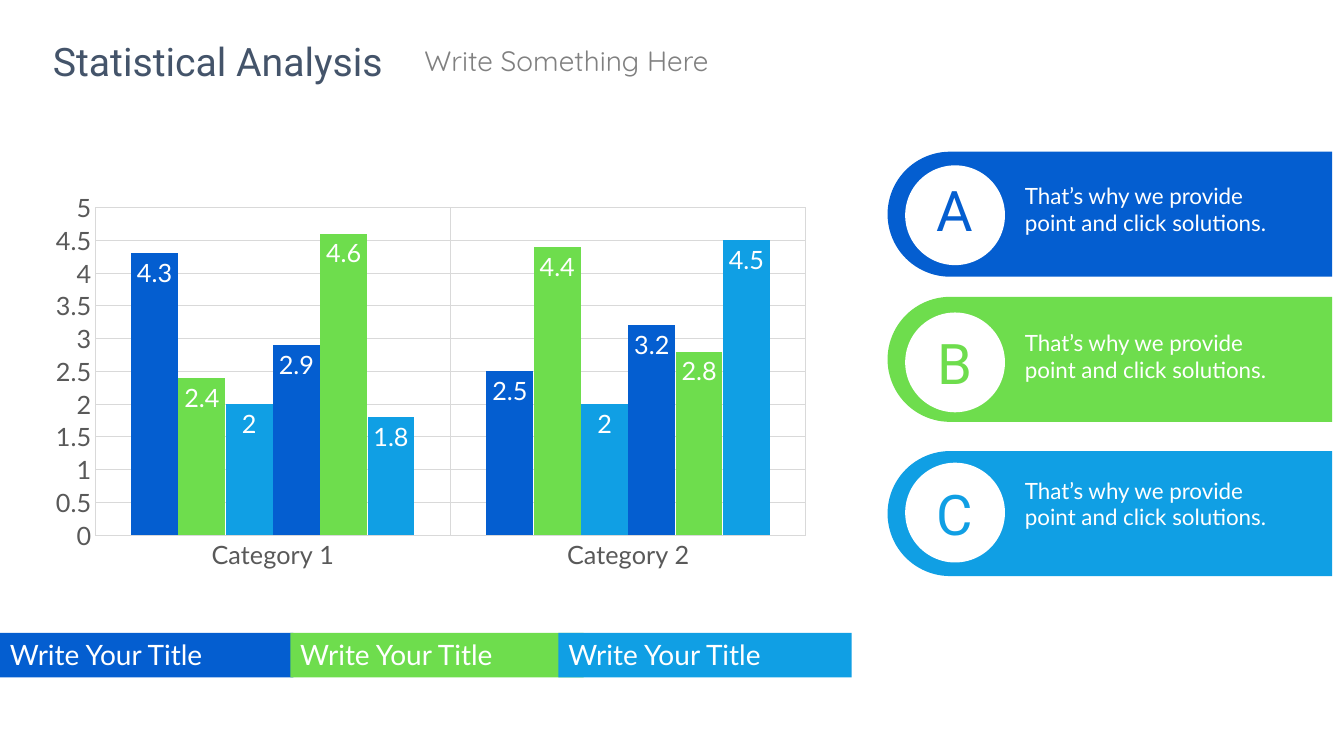
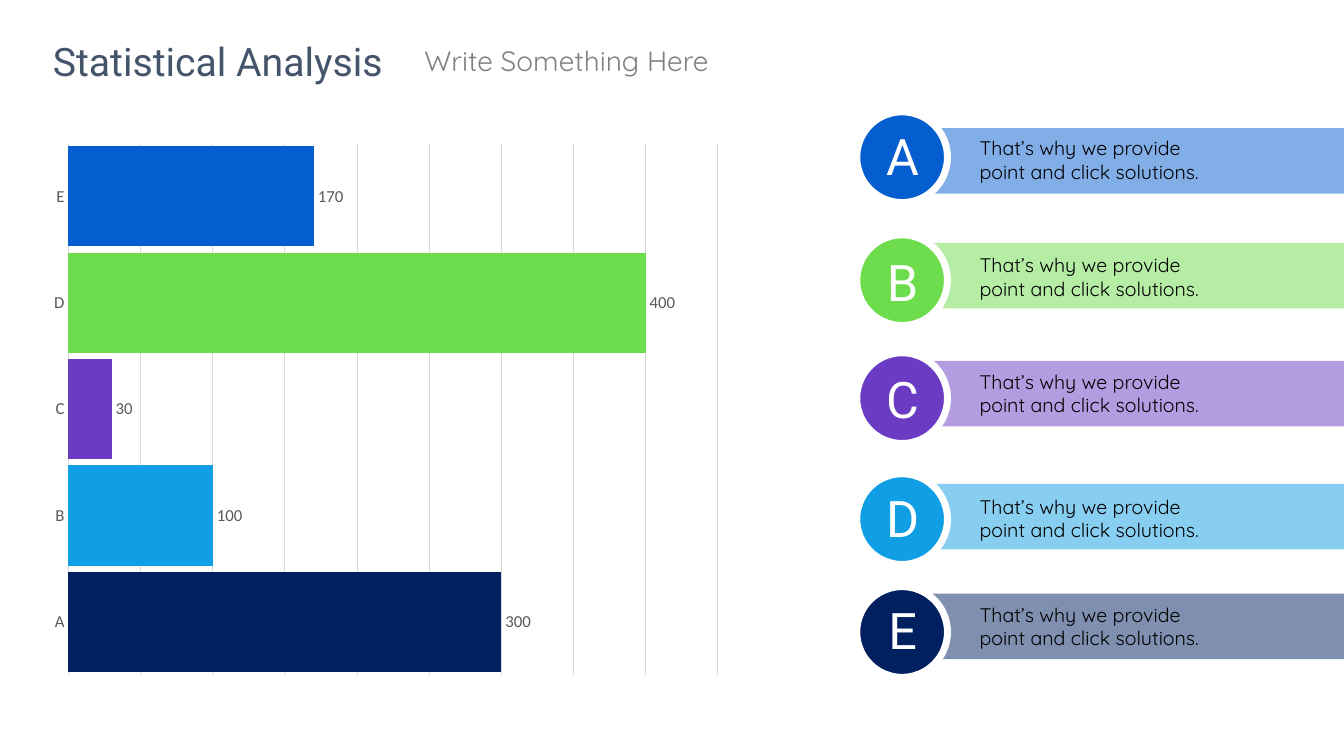
from dataclasses import dataclass

from lxml.etree import SubElement
from pptx import Presentation
from pptx.chart.data import CategoryChartData
from pptx.dml.color import RGBColor
from pptx.enum.chart import XL_CHART_TYPE, XL_LABEL_POSITION, XL_TICK_MARK
from pptx.enum.shapes import MSO_SHAPE
from pptx.enum.text import MSO_ANCHOR, MSO_AUTO_SIZE, PP_ALIGN
from pptx.oxml.ns import qn
from pptx.util import Inches, Pt


@dataclass(frozen=True)
class Theme:
    blue: str = "045ED0"
    green: str = "6EDD4D"
    sky: str = "109FE4"
    purple: str = "6B3BC4"
    navy: str = "002060"
    white: str = "FFFFFF"
    black: str = "000000"
    heading: str = "44546A"
    subtitle: str = "808080"
    axis: str = "595959"
    grid: str = "D9D9D9"
    heading_font: str = "Roboto"
    light_font: str = "Quicksand"
    body_font: str = "Lato"
    chart_font: str = "Calibri"
    heading_size: int = 28
    subtitle_size: int = 20
    strip_size: int = 20
    tab_letter_size: int = 40
    disc_letter_size: int = 36
    tab_text_size: int = 16
    band_text_size: int = 14
    column_chart_size: int = 18
    bar_chart_size: int = 12


theme = Theme()
COLUMNS, ROWS = 160, 90
CELL = Inches(1) // 12
MESSAGE = "That’s why we provide point and click solutions."


def add_box(slide, preset, area, fill=None):
    frame = [int(CELL * cells) for cells in area]
    if preset is None:
        return slide.shapes.add_textbox(*frame)
    box = slide.shapes.add_shape(preset, *frame)
    box.shadow.inherit = False
    box.fill.solid()
    box.fill.fore_color.rgb = RGBColor.from_string(fill)
    box.line.fill.background()
    return box


def write(box, text, size, font, color, align=PP_ALIGN.LEFT, wrap=True):
    text_frame = box.text_frame
    text_frame.word_wrap = wrap
    text_frame.auto_size = MSO_AUTO_SIZE.NONE
    text_frame.vertical_anchor = MSO_ANCHOR.TOP
    para = text_frame.paragraphs[0]
    para.alignment = align
    para.space_before = Pt(0)
    span = para.add_run()
    span.text = text
    span.font.size = Pt(size)
    span.font.name = font
    span.font.color.rgb = RGBColor.from_string(color)


deck = Presentation()
deck.slide_width = CELL * COLUMNS
deck.slide_height = CELL * ROWS

layout = deck.slide_layouts[0]
header_areas = [(4.8, 3.84, 42.24, 6.84), (49.32, 4.56, 48, 5.28)]
for index, area in enumerate(header_areas):
    holder = layout.placeholders[index]
    holder.left, holder.top, holder.width, holder.height = [int(CELL * cells) for cells in area]

pages = [deck.slides.add_slide(layout) for _ in range(2)]
for page in pages:
    write(page.shapes.title, "Statistical Analysis", theme.heading_size,
          theme.heading_font, theme.heading, PP_ALIGN.CENTER)
    write(page.placeholders[1], "Write Something Here", theme.subtitle_size,
          theme.light_font, theme.subtitle)
column_page, bar_page = pages

column_data = CategoryChartData()
column_data.categories = ["Category 1", "Category 2"]
column_values = [(4.3, 2.5), (2.4, 4.4), (2, 2), (2.9, 3.2), (4.6, 2.8), (1.8, 4.5)]
for number, values in enumerate(column_values, 1):
    column_data.add_series(f"Series {number}", values)

bar_data = CategoryChartData()
bar_data.categories = list("ABCDE")
bar_data.add_series("Series 1", (300, 100, 30, 400, 170))

chart_plans = [
    (column_page, XL_CHART_TYPE.COLUMN_CLUSTERED, (4.8, 21.96, 93, 46.8), column_data,
     theme.body_font, theme.column_chart_size, theme.white, XL_LABEL_POSITION.INSIDE_END,
     5, 0.5, 154, -1),
    (bar_page, XL_CHART_TYPE.BAR_CLUSTERED, (4.8, 15.72, 82.32, 66), bar_data,
     theme.chart_font, theme.bar_chart_size, theme.axis, XL_LABEL_POSITION.OUTSIDE_END,
     450, 50, 6, 0),
]
charts = []
for page, kind, area, data, font, size, label_color, position, top, step, gap, overlap in chart_plans:
    frame = [int(CELL * cells) for cells in area]
    chart = page.shapes.add_chart(kind, *frame, data).chart
    chart.has_title = False
    chart.has_legend = False
    chart.font.name = font
    chart.font.size = Pt(size)
    chart.font.color.rgb = RGBColor.from_string(theme.axis)
    value_axis, category_axis = chart.value_axis, chart.category_axis
    for axis in (value_axis, category_axis):
        axis.major_tick_mark = XL_TICK_MARK.NONE
        axis.minor_tick_mark = XL_TICK_MARK.NONE
    value_axis.minimum_scale = 0
    value_axis.maximum_scale = top
    value_axis.major_unit = step
    value_axis.has_major_gridlines = True
    value_axis.format.line.fill.background()
    for line in (value_axis.major_gridlines.format.line, category_axis.format.line):
        line.color.rgb = RGBColor.from_string(theme.grid)
        line.width = Pt(0.75)
    plot = chart.plots[0]
    plot.vary_by_categories = False
    plot.gap_width = gap
    plot.overlap = overlap
    plot.has_data_labels = True
    labels = plot.data_labels
    labels.show_value = True
    labels.position = position
    labels.font.name = font
    labels.font.size = Pt(size)
    labels.font.color.rgb = RGBColor.from_string(label_color)
    charts.append(chart)
column_chart, bar_chart = charts

trio = [theme.blue, theme.green, theme.sky]
for series, color in zip(column_chart.plots[0].series, trio * 2):
    series.invert_if_negative = False
    series.format.fill.solid()
    series.format.fill.fore_color.rgb = RGBColor.from_string(color)
column_grid = column_chart.category_axis.major_gridlines.format.line
column_grid.color.rgb = RGBColor.from_string(theme.grid)
column_grid.width = Pt(0.75)

bar_chart.value_axis.visible = False
bar_series = bar_chart.plots[0].series[0]
bar_series.invert_if_negative = False
bar_colors = [theme.navy, theme.sky, theme.purple, theme.green, theme.blue]
for index, color in enumerate(bar_colors):
    fill = bar_series.points[index].format.fill
    fill.solid()
    fill.fore_color.rgb = RGBColor.from_string(color)

for left, color in zip((0, 34.56, 66.48), trio):
    strip = add_box(column_page, MSO_SHAPE.RECTANGLE, (left, 75.36, 34.92, 5.28), color)
    write(strip, "Write Your Title", theme.strip_size, theme.body_font, theme.white)

tab_left, tab_length, tab_height = 105.66, 52.92, 14.88
turn = (tab_length - tab_height) / 2
tab_rows = [
    ("A", theme.blue, 18.06, 19.68, 20.28),
    ("B", theme.green, 35.34, 37.2, 38.52),
    ("C", theme.sky, 53.7, 55.08, 56.52),
]
for index, (letter, color, tab_top, disc_top, letter_top) in enumerate(tab_rows):
    tab = add_box(column_page, MSO_SHAPE.ROUND_2_SAME_RECTANGLE,
                  (tab_left + turn, tab_top - turn, tab_height, tab_length), color)
    tab.adjustments[0] = 0.5
    tab.adjustments[1] = 0
    tab.rotation = 270
    add_box(column_page, MSO_SHAPE.OVAL, (107.76, disc_top, 11.88, 11.88), theme.white)
    letter_box = add_box(column_page, None, (110.64, letter_top, 6.12, 9.24))
    write(letter_box, letter, theme.tab_letter_size, theme.heading_font, color,
          PP_ALIGN.CENTER, wrap=False)
    message_box = add_box(column_page, None, (120.84, 21.12 + 17.52 * index, 31.2, 7.68))
    write(message_box, MESSAGE, theme.tab_text_size, theme.body_font, theme.white)

band_rows = [
    ("A", theme.blue, 15.24, 13.32, 14.28, 15.6),
    ("B", theme.green, 28.92, 27.96, 29.28, 29.52),
    ("C", theme.purple, 42.96, 42, 43.2, 43.44),
    ("D", theme.sky, 57.6, 56.4, 57.36, 58.32),
    ("E", theme.navy, 70.68, 69.84, 70.68, 71.16),
]
for letter, color, band_top, disc_top, letter_top, message_top in band_rows:
    band = add_box(bar_page, MSO_SHAPE.RECTANGLE, (110, band_top, 50, 7.8), color)
    band_color = band.element.spPr.find(qn("a:solidFill")).find(qn("a:srgbClr"))
    SubElement(band_color, qn("a:alpha")).set("val", "50000")
    disc = add_box(bar_page, MSO_SHAPE.OVAL, (102, disc_top, 10.8, 10.8), color)
    disc.line.color.rgb = RGBColor.from_string(theme.white)
    disc.line.width = Pt(5)
    letter_box = add_box(bar_page, None, (104.28, letter_top, 6.36, 8.52))
    write(letter_box, letter, theme.disc_letter_size, theme.heading_font, theme.white,
          PP_ALIGN.CENTER, wrap=False)
    message_box = add_box(bar_page, None, (115.44, message_top, 32.4, 6.84))
    write(message_box, MESSAGE, theme.band_text_size, theme.light_font, theme.black)

deck.save("out.pptx")
